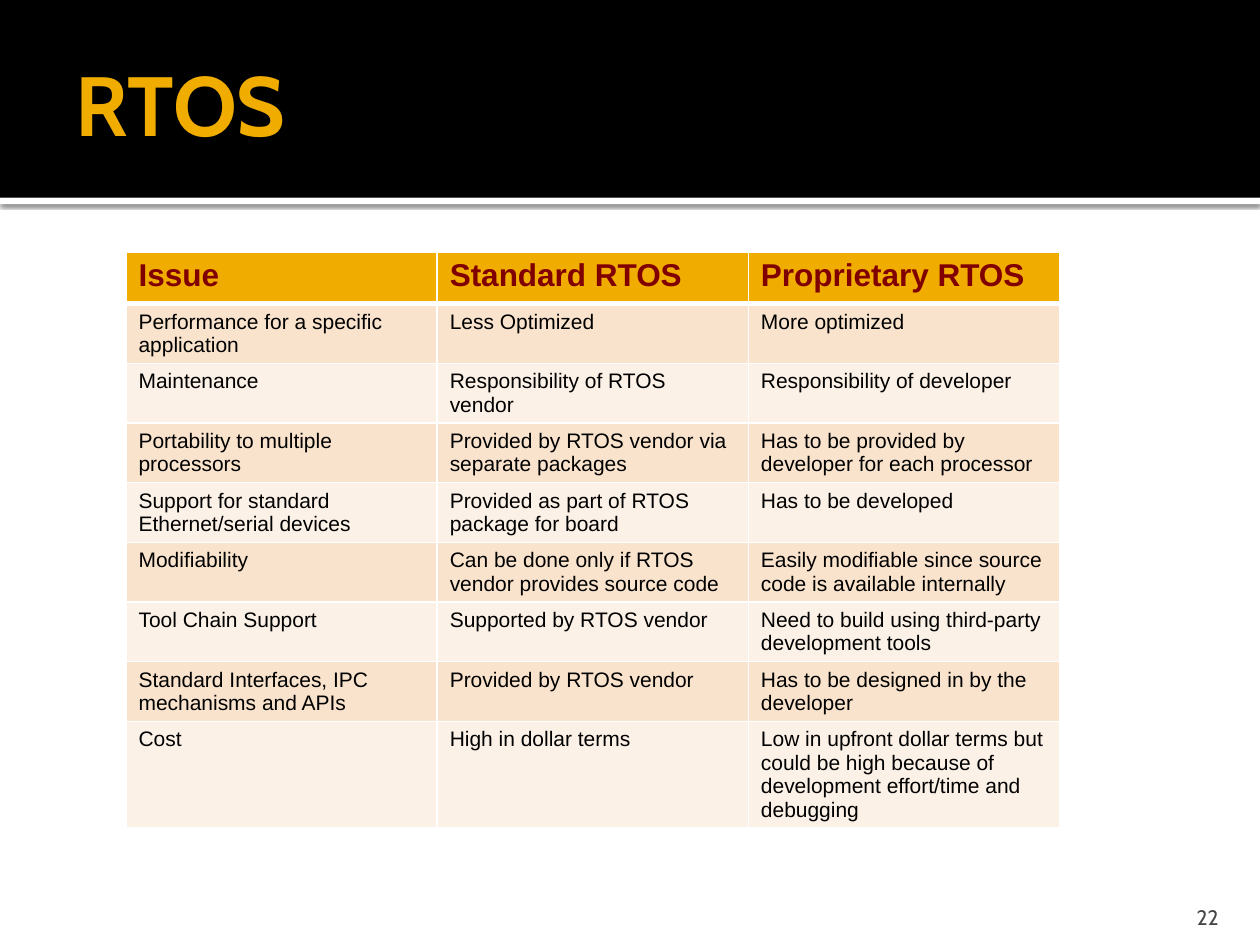
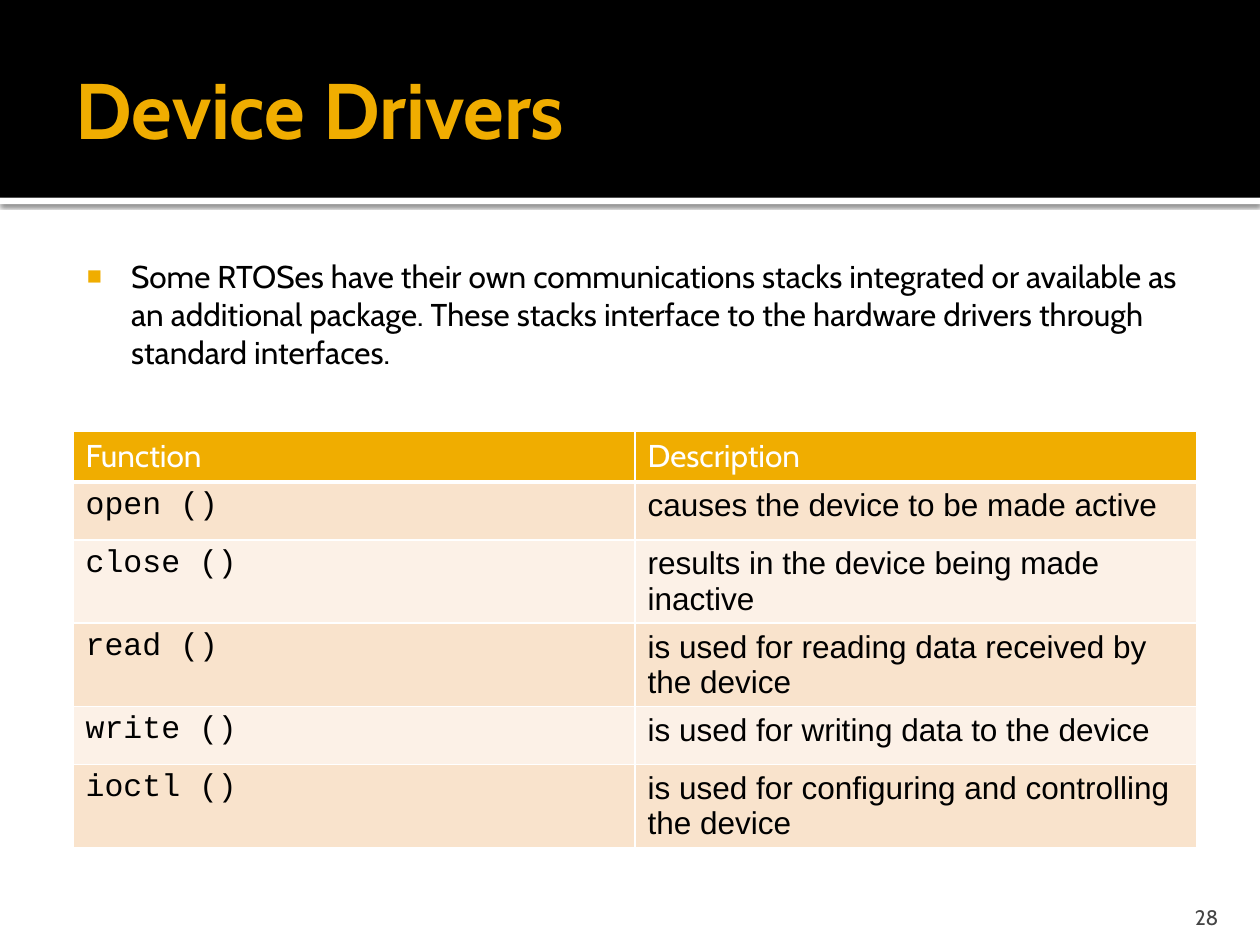
from lxml.etree import SubElement
from pptx import Presentation
from pptx.dml.color import RGBColor
from pptx.enum.shapes import MSO_SHAPE
from pptx.enum.text import MSO_ANCHOR, MSO_AUTO_SIZE, PP_ALIGN
from pptx.oxml.ns import qn
from pptx.util import Inches, Pt

BLACK = RGBColor(0x00, 0x00, 0x00)
WHITE = RGBColor(0xFF, 0xFF, 0xFF)
GOLD = RGBColor(0xF0, 0xAD, 0x00)
MAROON = RGBColor(0x80, 0x00, 0x00)
GREY = RGBColor(0x45, 0x45, 0x45)
BANDS = RGBColor(0xF9, 0xE3, 0xCC), RGBColor(0xFC, 0xF1, 0xE7)

WIDTH, HEIGHT = 10, 7.5
MARGIN = WIDTH / 20
CONTENT_WIDTH = WIDTH - 2 * MARGIN
BANNER_HEIGHT, STRIP_HEIGHT = 1.57, 0.05
TITLE_AT = (MARGIN, 0.17, CONTENT_WIDTH, 1.37)
BODY_AT = (MARGIN, 1.94, CONTENT_WIDTH, 5.06)
NUMBER_AT = (8.97, 7.08, 0.8, 0.3)
TITLE_ONLY, TITLE_AND_CONTENT = 5, 1

TITLE_FONT = {"name": "Cabin", "bold": True, "color": GOLD}
BODY_FONT = {"name": "Cabin", "size": Pt(18), "bold": False, "color": BLACK}
NUMBER_FONT = {"name": "Cabin", "size": Pt(12), "color": GREY}

SLIDES = [
    {
        "title": "RTOS",
        "title_size": 48,
        "title_spacing": 0.95,
        "number": "22",
        "layout": TITLE_ONLY,
        "points": [],
        "table": {
            "origin": (1, 2),
            "column_width": 2.47,
            "row_heights": [0.41] * 9,
            "header_font": {"name": "Arial", "size": Pt(18), "bold": True, "color": MAROON},
            "column_fonts": [{"name": "Arial", "size": Pt(12), "bold": False, "color": BLACK}] * 3,
            "rows": [
                ("Issue", "Standard RTOS", "Proprietary RTOS"),
                ("Performance for a specific application", "Less Optimized", "More optimized"),
                ("Maintenance", "Responsibility of RTOS vendor", "Responsibility of developer"),
                ("Portability to multiple processors",
                 "Provided by RTOS vendor via separate packages",
                 "Has to be provided by developer for each processor"),
                ("Support for standard Ethernet/serial devices",
                 "Provided as part of RTOS package for board",
                 "Has to be developed"),
                ("Modifiability",
                 "Can be done only if RTOS vendor provides source code",
                 "Easily modifiable since source code is available internally"),
                ("Tool Chain Support", "Supported by RTOS vendor",
                 "Need to build using third-party development tools"),
                ("Standard Interfaces, IPC mechanisms and APIs",
                 "Provided by RTOS vendor",
                 "Has to be designed in by the developer"),
                ("Cost", "High in dollar terms",
                 "Low in upfront dollar terms but could be high because of "
                 "development effort/time and debugging"),
            ],
        },
    },
    {
        "title": "Device Drivers",
        "title_size": 45,
        "title_spacing": 1.0,
        "number": "28",
        "layout": TITLE_AND_CONTENT,
        "points": [
            "Some RTOSes have their own communications stacks integrated or available as "
            "an additional package. These stacks interface to the hardware drivers through "
            "standard interfaces.",
        ],
        "table": {
            "origin": (0.58, 3.42),
            "column_width": 4.46,
            "row_heights": [0.36, 0.46, 0.62, 0.62, 0.46, 0.62],
            "header_font": {**BODY_FONT, "color": WHITE},
            "column_fonts": [{**BODY_FONT, "name": "Courier New"}, {**BODY_FONT, "name": "Arial"}],
            "rows": [
                ("Function", "Description"),
                ("open ()", "causes the device to be made active"),
                ("close ()", "results in the device being made inactive"),
                ("read ()", "is used for reading data received by the device"),
                ("write ()", "is used for writing data to the device"),
                ("ioctl ()", "is used for configuring and controlling the device"),
            ],
        },
    },
]


def assign(target, values):
    for key, value in values.items():
        setattr(target, key, value)


def place(part, box):
    assign(part, dict(zip(("left", "top", "width", "height"), map(Inches, box))))


def write(paragraph, text, font_format, **paragraph_format):
    run = paragraph.add_run()
    run.text = text
    assign(run.font, {key: value for key, value in font_format.items() if key != "color"})
    run.font.color.rgb = font_format["color"]
    assign(paragraph, paragraph_format)


def set_frame(frame, insets, anchor):
    sides = ("margin_left", "margin_top", "margin_right", "margin_bottom")
    assign(frame, {
        "word_wrap": True,
        "auto_size": MSO_AUTO_SIZE.NONE,
        "vertical_anchor": anchor,
        **dict(zip(sides, map(Inches, insets))),
    })


def add_band(slide, top, height, color):
    band = slide.shapes.add_shape(MSO_SHAPE.RECTANGLE, 0, Inches(top), Inches(WIDTH), Inches(height))
    band.shadow.inherit = False
    band.fill.solid()
    band.fill.fore_color.rgb = color
    band.line.fill.background()
    return band


def add_master_bands(slide, master):
    strip = add_band(slide, BANNER_HEIGHT, STRIP_HEIGHT, WHITE)
    banner = add_band(slide, 0, BANNER_HEIGHT, BLACK)
    effects = strip.element.spPr.find(qn("a:effectLst"))
    shadow = SubElement(effects, qn("a:outerShdw"), blurRad=str(Pt(2.5)), dist=str(Pt(0.8)),
                        dir="5400000", algn="t", rotWithShape="0")
    tint = SubElement(shadow, qn("a:srgbClr"), val=str(BLACK))
    SubElement(tint, qn("a:alpha"), val="60000")
    for order, band in enumerate((strip, banner)):
        band.element.xpath("./p:nvSpPr/p:cNvPr")[0].set("id", str(100 + order))
        master.shapes.element.insert(2 + order, band.element)


def add_bullet(paragraph):
    properties = paragraph._p.get_or_add_pPr()
    properties.set("marL", str(Inches(0.48)))
    properties.set("indent", str(Inches(-0.35)))
    SubElement(SubElement(properties, qn("a:buClr")), qn("a:srgbClr"), val=str(GOLD))
    SubElement(properties, qn("a:buSzPct"), val="80000")
    SubElement(properties, qn("a:buFont"), typeface="Arial")
    SubElement(properties, qn("a:buChar"), char="■")


def add_borders(cell, is_header):
    properties = cell._tc.get_or_add_tcPr()
    for side in "LRTB":
        weight = 3 if is_header and side == "B" else 1
        line = SubElement(properties, qn(f"a:ln{side}"), w=str(Pt(weight)))
        SubElement(SubElement(line, qn("a:solidFill")), qn("a:srgbClr"), val=str(WHITE))


def add_grid(slide, content):
    rows, heights = content["rows"], content["row_heights"]
    size = (content["column_width"] * len(rows[0]), sum(heights))
    box = map(Inches, content["origin"] + size)
    grid = slide.shapes.add_table(len(rows), len(rows[0]), *box).table
    for column in grid.columns:
        column.width = Inches(content["column_width"])
    for row_index, (texts, height) in enumerate(zip(rows, heights)):
        grid.rows[row_index].height = Inches(height)
        is_header = row_index == 0
        for column_index, text in enumerate(texts):
            cell = grid.cell(row_index, column_index)
            font = content["header_font"] if is_header else content["column_fonts"][column_index]
            add_borders(cell, is_header)
            cell.fill.solid()
            cell.fill.fore_color.rgb = GOLD if is_header else BANDS[(row_index - 1) % 2]
            write(cell.text_frame.paragraphs[0], text, font)


def add_title(slide, content):
    title = slide.shapes.title
    place(title, TITLE_AT)
    set_frame(title.text_frame, (0.1, 0.05, 0.05, 0.05), MSO_ANCHOR.MIDDLE)
    write(title.text_frame.paragraphs[0], content["title"],
          {**TITLE_FONT, "size": Pt(content["title_size"])},
          alignment=PP_ALIGN.LEFT, line_spacing=content["title_spacing"])


def add_points(slide, points):
    body = slide.placeholders[1]
    place(body, BODY_AT)
    set_frame(body.text_frame, (0.06, 0.1, 0.1, 0.05), MSO_ANCHOR.TOP)
    for index, point in enumerate(points):
        frame = body.text_frame
        paragraph = frame.add_paragraph() if index else frame.paragraphs[0]
        write(paragraph, point, BODY_FONT, space_before=Pt(0))
        add_bullet(paragraph)


def add_number(slide, number):
    footer = slide.shapes.add_textbox(*map(Inches, NUMBER_AT))
    set_frame(footer.text_frame, (0.1, 0.05, 0.1, 0), MSO_ANCHOR.BOTTOM)
    write(footer.text_frame.paragraphs[0], number, NUMBER_FONT, alignment=PP_ALIGN.RIGHT)


def main():
    deck = Presentation()
    assign(deck, {"slide_width": Inches(WIDTH), "slide_height": Inches(HEIGHT)})
    for index, content in enumerate(SLIDES):
        slide = deck.slides.add_slide(deck.slide_layouts[content["layout"]])
        if index == 0:
            add_master_bands(slide, deck.slide_master)
        add_title(slide, content)
        if content["points"]:
            add_points(slide, content["points"])
        add_grid(slide, content["table"])
        add_number(slide, content["number"])
    deck.save("out.pptx")


if __name__ == "__main__":
    main()
